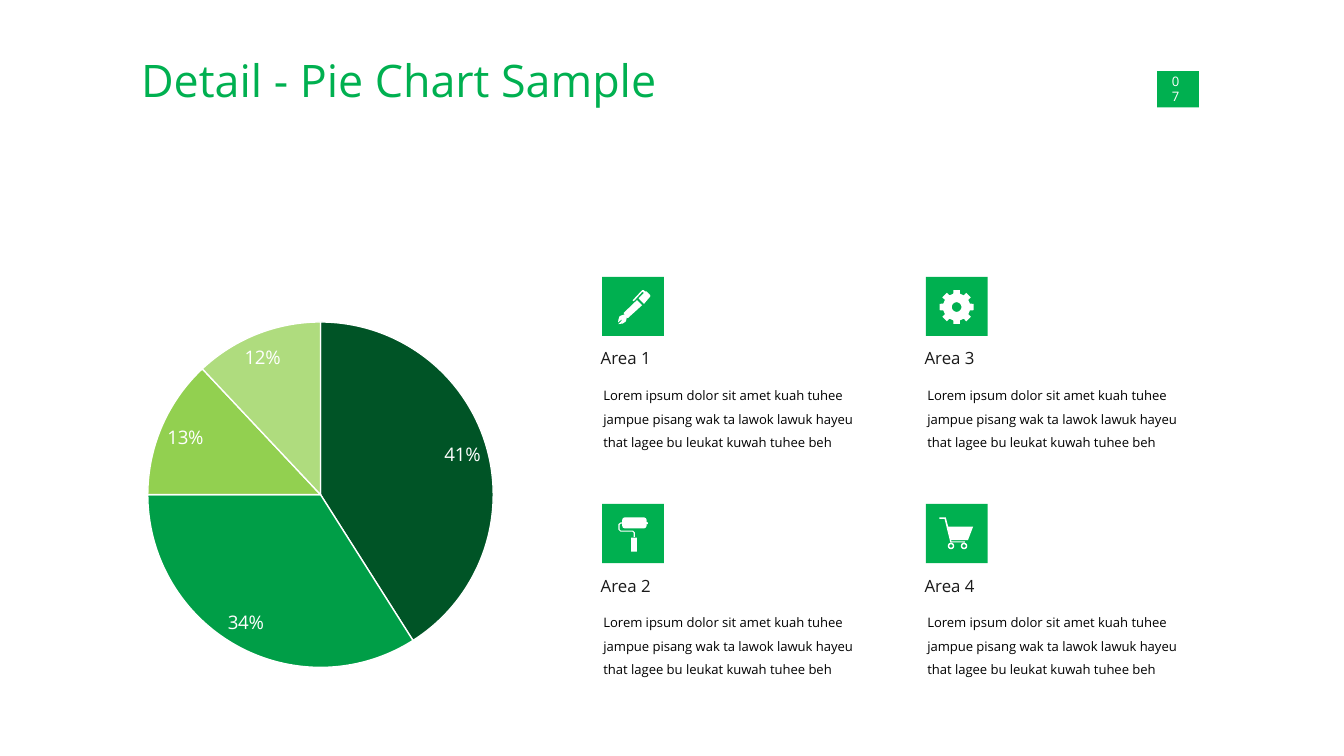
from math import cos, sin, radians
from pptx import Presentation
from pptx.chart.data import CategoryChartData
from pptx.dml.color import RGBColor
from pptx.enum.chart import XL_CHART_TYPE, XL_LABEL_POSITION
from pptx.enum.shapes import MSO_SHAPE
from pptx.enum.text import MSO_ANCHOR
from pptx.oxml import parse_xml
from pptx.oxml.ns import nsdecls
from pptx.util import Inches, Pt


def ring(center_x, center_y, corners):
    return [(center_x + radius * cos(radians(angle)), center_y + radius * sin(radians(angle)))
            for radius, angle in corners]


def circle(center_x, center_y, radius):
    return ring(center_x, center_y, [(radius, angle) for angle in range(0, 360, 15)])


THEME = {
    "font": "Open Sans", "chart_font": "Calibri",
    "green": "00B050", "white": "FFFFFF", "heading": "1A1A1A", "body": "000000",
    "title_size": 24, "heading_size": 9, "body_size": 7, "label_size": 10, "chart_size": 18,
}
TITLE = "Detail - Pie Chart Sample"
PAGE_NUMBER = "07"
DESCRIPTION = ("Lorem ipsum dolor sit amet kuah tuhee jampue pisang wak ta lawok "
               "lawuk hayeu that lagee bu leukat kuwah tuhee beh")
SLICES = [("1", 41, "005426"), ("2", 34, "009E47"), ("3", 13, "92D050"), ("4", 12, "AFDC7E")]

PEN = [
    [(228, 175), (232, 182), (240, 178), (300, 112), (312, 120), (272, 160), (312, 202),
     (360, 145), (358, 136), (330, 108), (320, 108), (312, 100), (298, 100)],
    [(298, 212), (260, 174), (160, 270), (168, 280), (142, 288), (130, 295), (122, 320),
     (119, 340), (146, 318), (150, 322), (122, 352), (155, 348), (178, 332), (184, 304),
     (192, 308)],
]
ROLLER = [
    [(150, 120), (155, 106), (168, 100), (312, 100), (326, 106), (332, 120), (332, 135),
     (340, 138), (340, 150), (332, 150), (332, 162), (326, 176), (312, 182), (168, 182),
     (155, 176), (150, 162)],
    [(150, 138), (138, 138), (122, 150), (122, 192), (138, 207), (228, 207), (236, 215),
     (236, 246), (244, 246), (244, 212), (231, 199), (140, 199), (130, 190), (130, 155),
     (140, 146), (150, 146)],
    [(217, 250), (260, 250), (260, 355), (217, 355)],
]
GEAR = [
    ring(228, 225, [(radius, tooth + offset) for tooth in range(0, 360, 45)
                    for radius, offset in ((102, -14), (128, -11), (128, 11), (102, 14))]),
    circle(228, 225, 36),
]
CART = [
    [(350, 170), (165, 170), (147, 100), (100, 100), (100, 111), (138, 111), (181, 286),
     (290, 286), (290, 278), (189, 278), (186, 270), (312, 270)],
    *[circle(center_x, 313, radius) for center_x in (186, 283) for radius in (24, 13)],
]
AREAS = [("Area 1", PEN), ("Area 2", ROLLER), ("Area 3", GEAR), ("Area 4", CART)]
ROWS = 2
FIRST_LEFT, FIRST_TOP = 4.48, 2.06
COLUMN_PITCH, ROW_PITCH = 2.41, 1.69


def color(key):
    return RGBColor.from_string(THEME.get(key, key))


def add_text(parent, text, box, *, size, ink, anchor=MSO_ANCHOR.TOP, margin=0, spacing=None):
    label = parent.shapes.add_textbox(*map(Inches, box))
    frame = label.text_frame
    frame.word_wrap = True
    frame.vertical_anchor = anchor
    frame.margin_left = frame.margin_right = Inches(margin)
    frame.margin_top = frame.margin_bottom = Inches(margin)
    paragraph = frame.paragraphs[0]
    paragraph.line_spacing = spacing
    run = paragraph.add_run()
    run.text = text
    run.font.name = THEME["font"]
    run.font.size = Pt(THEME[size])
    run.font.color.rgb = color(ink)


def paint(shape, fill):
    shape.shadow.inherit = False
    shape.fill.solid()
    shape.fill.fore_color.rgb = color(fill)
    shape.line.fill.background()


def add_tile(parent, box):
    paint(parent.shapes.add_shape(MSO_SHAPE.RECTANGLE, *map(Inches, box)), "green")


def add_icon(parent, contours, left, top):
    builder = parent.shapes.build_freeform(*contours[0][0], scale=Inches(1) / 1000)
    for contour in contours:
        if contour is not contours[0]:
            builder.move_to(*contour[0])
        builder.add_line_segments(contour[1:], close=True)
    paint(builder.convert_to_shape(Inches(left), Inches(top)), "white")


def add_area(slide, name, icon, left, top):
    area = slide.shapes.add_group_shape()
    add_text(area, name, (left - 0.01, top + 0.53, 2.06, 0.21), size="heading_size", ink="heading")
    add_tile(area, (left, top, 0.46, 0.44))
    add_text(area, DESCRIPTION, (left - 0.03, top + 0.79, 2.06, 0.54), size="body_size",
             ink="body", anchor=MSO_ANCHOR.BOTTOM, margin=0.04, spacing=1.5)
    add_icon(area, icon, left, top)


def add_pie(slide):
    data = CategoryChartData()
    data.categories = [name for name, _, _ in SLICES]
    data.add_series("Series 1", [value for _, value, _ in SLICES])
    chart = slide.shapes.add_chart(
        XL_CHART_TYPE.PIE, *map(Inches, (0.09, 2.06, 4.59, 3.06)), data).chart
    chart.has_title = False
    chart.has_legend = False
    chart.font.name = THEME["chart_font"]
    chart.font.size = Pt(THEME["chart_size"])
    chart.font.color.rgb = color("body")
    plot = chart.plots[0]
    plot.vary_by_categories = True
    for index, (_, _, fill) in enumerate(SLICES):
        wedge = plot.series[0].points[index].format
        wedge.fill.solid()
        wedge.fill.fore_color.rgb = color(fill)
        wedge.line.color.rgb = color("white")
        wedge.line.width = Pt(0.75)
    labels = plot.series[0].data_labels
    labels.show_value = False
    labels.show_percentage = True
    labels.number_format = "0%"
    labels.number_format_is_linked = False
    labels.position = XL_LABEL_POSITION.BEST_FIT
    labels.font.name = THEME["font"]
    labels.font.size = Pt(THEME["label_size"])
    labels.font.color.rgb = color("white")
    plot_area = chart.element.chart.plotArea
    for layout in plot_area.findall("{*}layout"):
        plot_area.remove(layout)
    plot_area.insert(0, parse_xml(
        f'<c:layout {nsdecls("c")}><c:manualLayout><c:layoutTarget val="inner"/>'
        '<c:xMode val="edge"/><c:yMode val="edge"/><c:x val="0.21"/><c:y val="0.11"/>'
        '<c:w val="0.58"/><c:h val="0.84"/></c:manualLayout></c:layout>'))


def main():
    deck = Presentation()
    deck.slide_width = Inches(10)
    deck.slide_height = deck.slide_width * 9 // 16
    slide = deck.slides.add_slide(deck.slide_layouts[6])
    add_text(slide, TITLE, (1.05, 0.39, 4.76, 0.49), size="title_size", ink="green")
    add_tile(slide, (8.61, 0.53, 0.31, 0.27))
    add_text(slide, PAGE_NUMBER, (8.72, 0.6, 0.1, 0.12), size="body_size", ink="white",
             anchor=MSO_ANCHOR.MIDDLE)
    for index, (name, icon) in enumerate(AREAS):
        column, row = divmod(index, ROWS)
        add_area(slide, name, icon, FIRST_LEFT + column * COLUMN_PITCH, FIRST_TOP + row * ROW_PITCH)
    add_pie(slide)
    deck.save("out.pptx")


if __name__ == "__main__":
    main()
